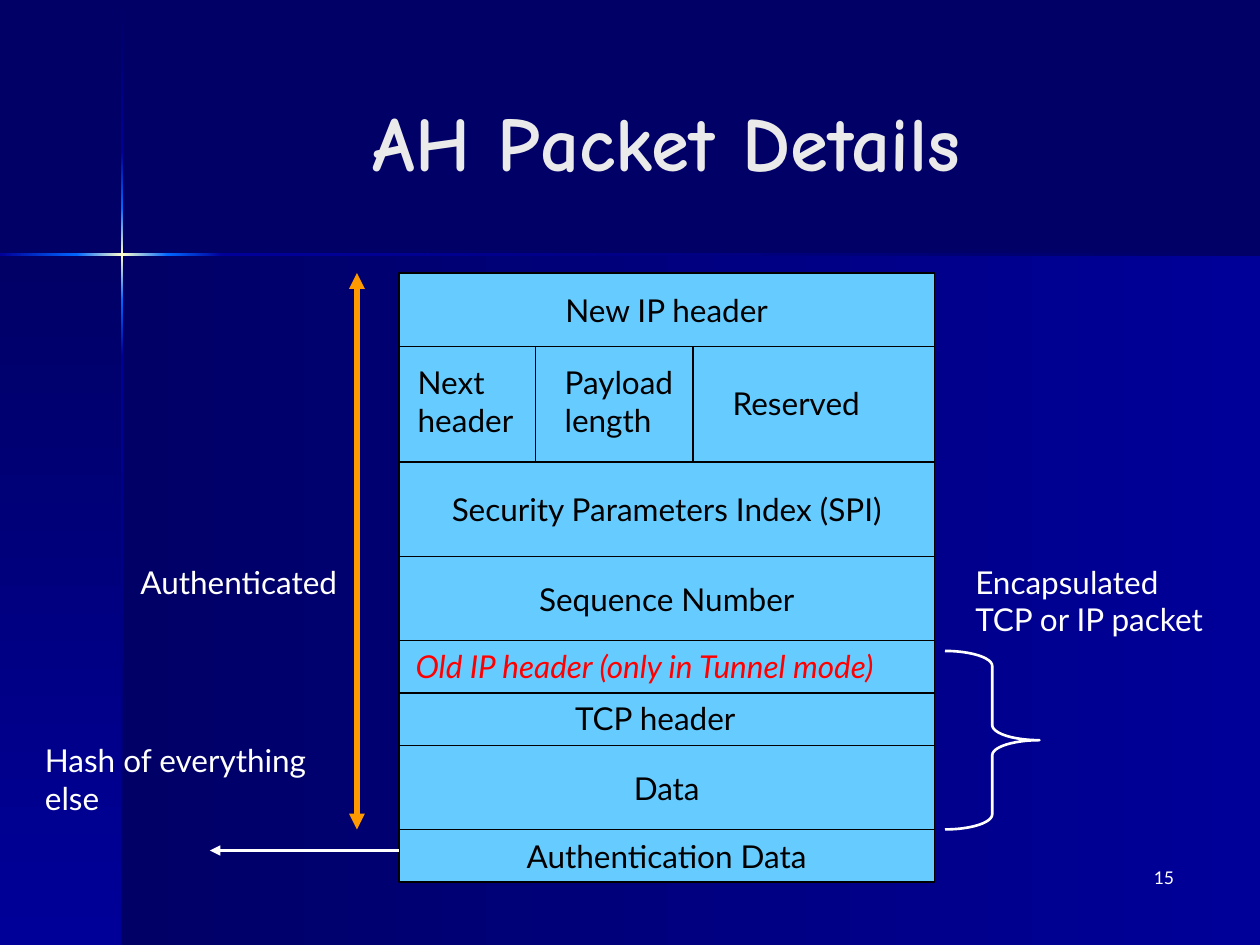
from lxml import etree
from pptx import Presentation, util as u
from pptx.dml.color import RGBColor
from pptx.enum import shapes, text
from pptx.oxml.ns import qn

presentation = Presentation()
presentation.slide_width, presentation.slide_height = u.Inches(10), u.Inches(7.5)
CELL = presentation.slide_width / 120  # the grid has 120 columns and 90 rows
rgb = RGBColor.from_string
NAVY, BLUE, GLOW, CREAM = "000066", "000099", "0066FF", "FFFFCC"
BLACK, WHITE, SKY, ORANGE, RED = "000000", "FFFFFF", "66CCFF", "FF9900", "FF0000"


def grid(*cells):
    """Turn columns and rows into lengths on the slide."""
    return [u.Emu(round(cell * CELL)) for cell in cells]


def write(shape, content, size=18, font="Lato", color=BLACK, bold=False, italic=False,
          align=text.PP_ALIGN.LEFT, anchor=text.MSO_ANCHOR.TOP, wrap=False):
    frame = shape.text_frame
    frame.text = content
    frame.word_wrap = wrap
    frame.auto_size = text.MSO_AUTO_SIZE.NONE
    frame.vertical_anchor = anchor
    for paragraph in frame.paragraphs:
        paragraph.alignment = align
        paragraph.font.size = u.Pt(size)
        paragraph.font.name = font
        paragraph.font.bold = bold
        paragraph.font.italic = italic
        paragraph.font.color.rgb = rgb(color)


slide = presentation.slides.add_slide(presentation.slide_layouts[5])
slide.background.fill.solid()
slide.background.fill.fore_color.rgb = rgb(NAVY)

# Backdrop: two panels, then the rays of the star, each a two-colour gradient.
ACROSS, DOWN = 0, 270
STAR_X, STAR_Y, RAY = 11.64, 24.24, 0.24
backdrop = [
    (STAR_X, STAR_Y, 120 - STAR_X, 90 - STAR_Y, NAVY, BLUE, ACROSS),
    (0, STAR_Y, STAR_X, 90 - STAR_Y, NAVY, BLUE, DOWN),
]
ray_colors = [(NAVY, BLUE), (BLUE, GLOW), (GLOW, CREAM),
              (CREAM, GLOW), (GLOW, BLUE), (BLUE, NAVY)]
vertical_stops = [0, 14.5, 19.8, STAR_Y, 28.6, 33.8, 90]
horizontal_stops = [0, 7.3, STAR_X, 16, 21.2, 120]
for start, end, colors in zip(vertical_stops, vertical_stops[1:], ray_colors):
    backdrop.append((STAR_X - RAY / 2, start, RAY, end - start, *colors, DOWN))
for start, end, colors in zip(horizontal_stops, horizontal_stops[1:], ray_colors[1:]):
    backdrop.append((start, STAR_Y - RAY / 2, end - start, RAY, *colors, ACROSS))
for left, top, width, height, first, last, angle in backdrop:
    panel = slide.shapes.add_shape(shapes.MSO_SHAPE.RECTANGLE, *grid(left, top, width, height))
    panel.shadow.inherit = False
    panel.line.fill.background()
    panel.fill.gradient()
    panel.fill.gradient_angle = angle
    for stop, color in zip(panel.fill.gradient_stops, (first, last)):
        stop.color.rgb = rgb(color)

title = slide.shapes.title
title.left, title.top, title.width, title.height = grid(14, 4, 99, 18.8)
write(title, "AH Packet Details", size=44, font="Comic Neue", color="EAEAEA", bold=True,
      align=text.PP_ALIGN.CENTER, anchor=text.MSO_ANCHOR.MIDDLE, wrap=True)

# Packet fields, stacked from top to bottom.
PACKET_LEFT, PACKET_TOP, PACKET_WIDTH = 38, 26, 51
PACKET_RIGHT = PACKET_LEFT + PACKET_WIDTH
top = PACKET_TOP
for label, height in [("New IP header", 7), ("", 11), ("Security Parameters Index (SPI)", 9),
                      ("Sequence Number", 8), ("", 10), ("Data", 8),
                      ("Authentication Data", 5)]:
    field = slide.shapes.add_shape(shapes.MSO_SHAPE.RECTANGLE,
                                   *grid(PACKET_LEFT, top, PACKET_WIDTH, height))
    field.shadow.inherit = False
    field.fill.solid()
    field.fill.fore_color.rgb = rgb(SKY)
    field.line.color.rgb = rgb(BLACK)
    field.line.width = u.Pt(0.75)
    if label:
        write(field, label, align=text.PP_ALIGN.CENTER, anchor=text.MSO_ANCHOR.MIDDLE)
    top += height

# Dividers inside the fields, and the two arrows beside them.
for ends, color, width, arrowheads in [
    ((51, 33, 51, 44), BLACK, 0.75, []),
    ((66, 33, 66, 44), BLACK, 0.75, []),
    ((PACKET_LEFT, 66, PACKET_RIGHT, 66), BLACK, 0.75, []),
    ((34, PACKET_TOP, 34, 79), ORANGE, 3, ["headEnd", "tailEnd"]),
    ((PACKET_LEFT, 81, 20, 81), WHITE, 1.5, ["tailEnd"]),
]:
    line = slide.shapes.add_connector(shapes.MSO_CONNECTOR.STRAIGHT, *grid(*ends))
    line.line.color.rgb = rgb(color)
    line.line.width = u.Pt(width)
    for arrowhead in arrowheads:
        etree.SubElement(line.line._get_or_add_ln(), qn("a:" + arrowhead), type="triangle")
    etree.SubElement(line._element.spPr, qn("a:effectLst"))

brace = slide.shapes.add_shape(shapes.MSO_SHAPE.RIGHT_BRACE, *grid(90, 62, 9, 17))
brace.adjustments[0] = 0.16
brace.shadow.inherit = False
brace.fill.background()
brace.line.color.rgb = rgb(WHITE)
brace.line.width = u.Pt(1.5)

for left, top, width, height, label, style in [
    (38.6, 34, 12.4, 8.4, "Next\nheader", {}),
    (52.6, 34, 13.5, 8.4, "Payload\nlength", {}),
    (68.6, 36, 15.4, 4.8, "Reserved", {}),
    (38.4, 61, 50.2, 4.8, "Old IP header (only in Tunnel mode)", {"color": RED, "italic": True}),
    (53.6, 66, 18.5, 4.8, "TCP header", {}),
    (12.2, 53, 22.2, 4.8, "Authenticated", {"color": WHITE}),
    (91.7, 53, 25.3, 8.4, "Encapsulated\nTCP or IP packet", {"color": WHITE}),
    (3.1, 70, 29, 8.4, "Hash of everything\nelse", {"color": WHITE}),
    (88, 82, 25, 6, "15",
     {"color": WHITE, "size": 10, "align": text.PP_ALIGN.RIGHT, "wrap": True}),
]:
    write(slide.shapes.add_textbox(*grid(left, top, width, height)), label, **style)

presentation.save("out.pptx")
